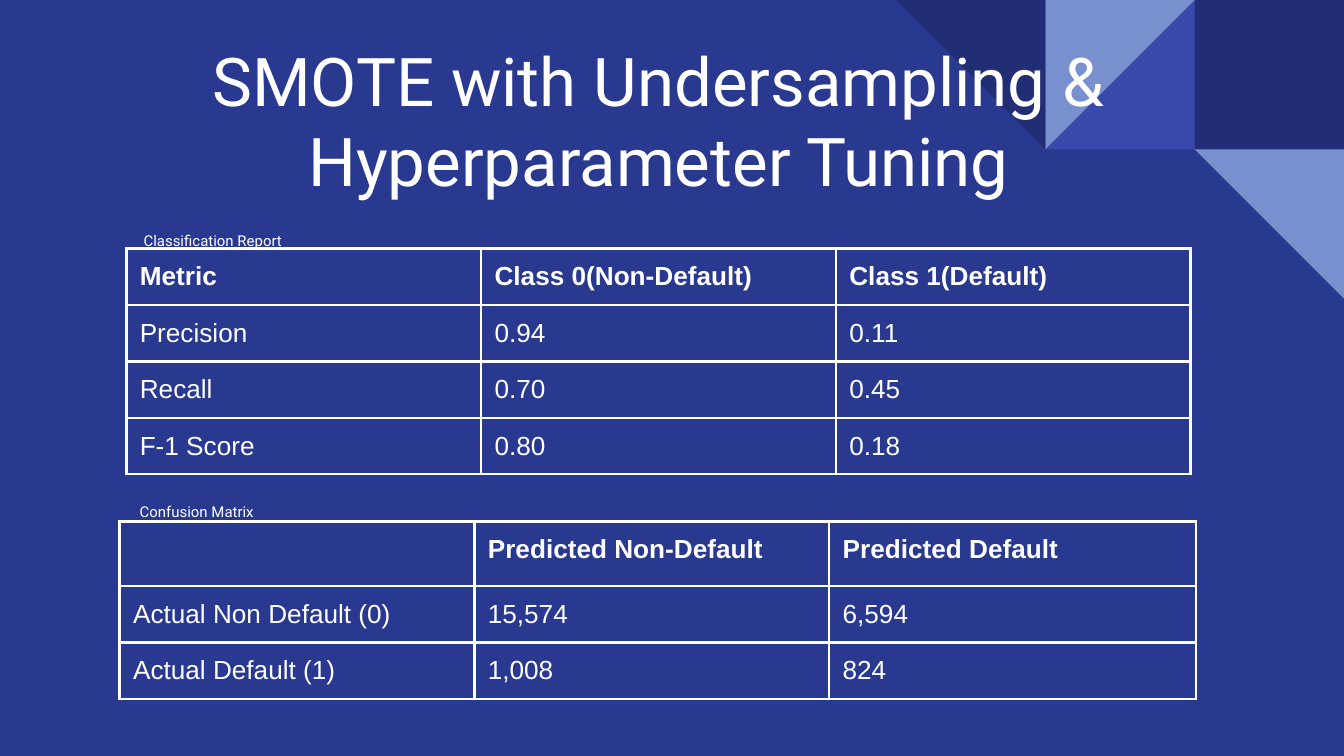
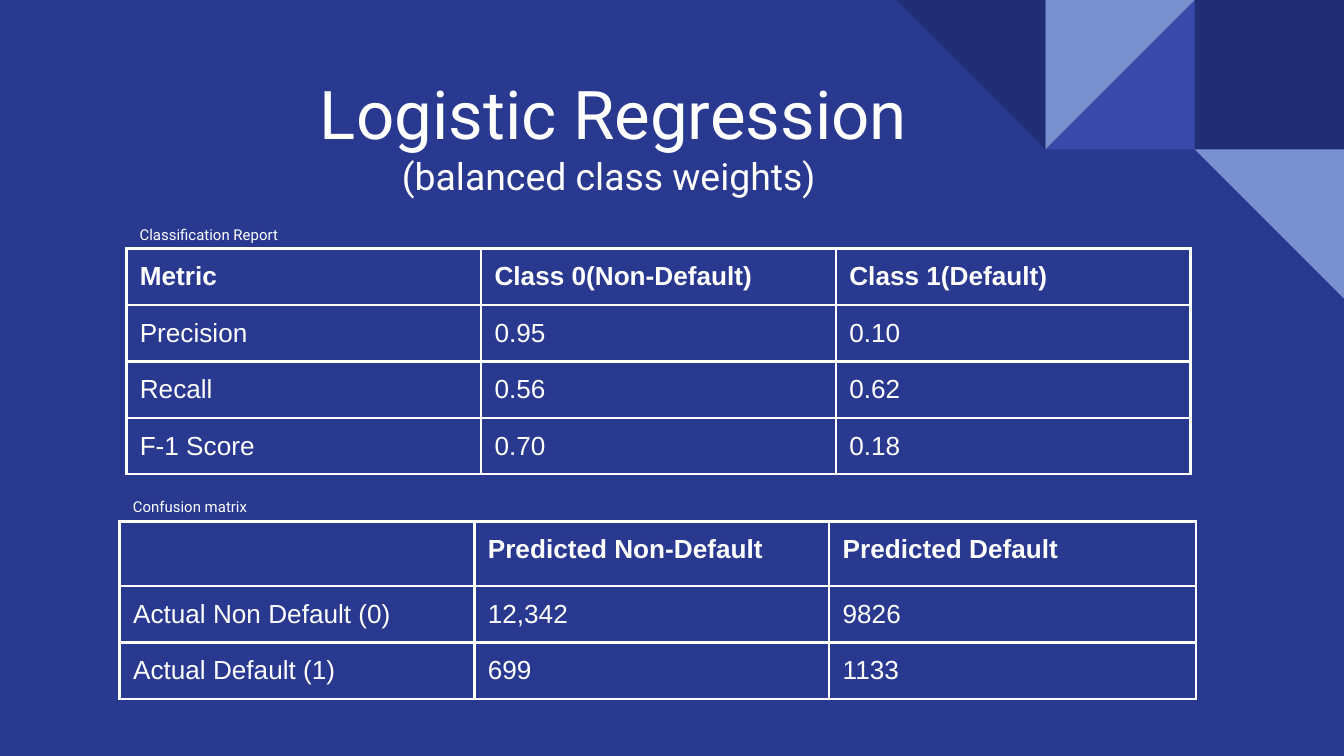
from dataclasses import dataclass

from lxml import etree
from pptx import Presentation
from pptx.dml.color import RGBColor
from pptx.enum.shapes import MSO_SHAPE
from pptx.enum.text import MSO_ANCHOR, MSO_AUTO_SIZE, PP_ALIGN
from pptx.oxml.ns import qn
from pptx.util import Inches, Pt

SQUARE, TRIANGLE = MSO_SHAPE.RECTANGLE, MSO_SHAPE.RIGHT_TRIANGLE
TOP, NO_AUTOFIT = MSO_ANCHOR.TOP, MSO_AUTO_SIZE.NONE
LEFT, CENTER = PP_ALIGN.LEFT, PP_ALIGN.CENTER
TITLE_ONLY = 5
SLIDE_WIDTH = 10
SLIDE_HEIGHT = SLIDE_WIDTH * 9 / 16
INSET = Inches(0.1)
TILE = SLIDE_WIDTH / 9
ROW = 0.42


@dataclass(frozen=True)
class Theme:
    background: str = "2A3990"
    dark: str = "212D74"
    vivid: str = "3949AB"
    pale: str = "7890CD"
    white: str = "FFFFFF"
    display_font: str = "Roboto"
    table_font: str = "Arial"
    title_size: float = 36
    subtitle_size: float = 20
    table_size: float = 14
    caption_size: float = 8
    border_width: float = 1.5


THEME = Theme()


@dataclass(frozen=True)
class Box:
    left: float
    top: float
    width: float
    height: float

    def lengths(self) -> list:
        return [Inches(n) for n in (self.left, self.top, self.width, self.height)]


@dataclass(frozen=True)
class Tile:
    column: int
    row: int
    preset: int
    rotation: int
    color: str


@dataclass(frozen=True)
class Grid:
    left: float
    top: float
    columns: tuple
    rows: tuple
    header: tuple


@dataclass(frozen=True)
class Result:
    title: str
    subtitle: str
    title_box: Box
    report_caption: str
    report_caption_box: Box
    report: tuple
    matrix_caption: str
    matrix_caption_box: Box
    matrix: tuple


TILES = (
    Tile(8, 0, SQUARE, 0, THEME.dark),
    Tile(7, 0, TRIANGLE, 270, THEME.vivid),
    Tile(7, 0, TRIANGLE, 90, THEME.pale),
    Tile(6, 0, TRIANGLE, 180, THEME.dark),
    Tile(8, 1, TRIANGLE, 180, THEME.pale),
)
REPORT = Grid(0.94, 1.85, (2.64, 2.64, 2.64), (ROW,) * 4,
              ("Metric", "Class 0(Non-Default)", "Class 1(Default)"))
MATRIX = Grid(0.89, 3.88, (2.64, 2.64, 2.73), (0.48, ROW, ROW),
              ("", "Predicted Non-Default", "Predicted Default"))

RESULTS = (
    Result(
        "SMOTE with Undersampling & Hyperparameter Tuning", "",
        Box(0.52, 0.19, 8.76, 1.28),
        "Classification Report", Box(0.97, 1.62, 1.66, 0.23),
        (("Precision", "0.94", "0.11"),
         ("Recall", "0.70", "0.45"),
         ("F-1 Score", "0.80", "0.18")),
        "Confusion Matrix", Box(0.94, 3.64, 1.61, 0.35),
        (("Actual Non Default (0)", "15,574", "6,594"),
         ("Actual Default (1)", "1,008", "824")),
    ),
    Result(
        "Logistic Regression", "(balanced class weights) ",
        Box(1.12, 0.44, 6.89, 0.73),
        "Classification Report", Box(0.94, 1.58, 1.75, 0.28),
        (("Precision", "0.95", "0.10"),
         ("Recall", "0.56", "0.62"),
         ("F-1 Score", "0.70", "0.18")),
        "Confusion matrix", Box(0.89, 3.6, 1.62, 0.28),
        (("Actual Non Default (0)", "12,342", "9826"),
         ("Actual Default (1)", "699", "1133")),
    ),
)


def write(paragraph, text: str, *, size: float, font: str = THEME.display_font,
          bold: bool = False, align=LEFT) -> None:
    paragraph.alignment = align
    run = paragraph.add_run()
    run.text = text
    run.font.name = font
    run.font.size = Pt(size)
    run.font.bold = bold
    run.font.color.rgb = RGBColor.from_string(THEME.white)


def inset(area) -> None:
    area.margin_left = area.margin_right = INSET
    area.margin_top = area.margin_bottom = INSET
    area.vertical_anchor = TOP


def prepare_frame(shape):
    frame = shape.text_frame
    frame.word_wrap = True
    frame.auto_size = NO_AUTOFIT
    inset(frame)
    return frame


def add_title(slide, result: Result) -> None:
    title = slide.shapes.title
    title.left, title.top, title.width, title.height = result.title_box.lengths()
    frame = prepare_frame(title)
    write(frame.paragraphs[0], result.title, size=THEME.title_size, align=CENTER)
    if result.subtitle:
        write(frame.add_paragraph(), result.subtitle, size=THEME.subtitle_size, align=CENTER)


def add_caption(slide, text: str, box: Box) -> None:
    frame = prepare_frame(slide.shapes.add_textbox(*box.lengths()))
    write(frame.paragraphs[0], text, size=THEME.caption_size)


def add_borders(cell) -> None:
    properties = cell._tc.get_or_add_tcPr()
    for position, side in enumerate(("a:lnL", "a:lnR", "a:lnT", "a:lnB")):
        line = etree.Element(qn(side), w=str(Pt(THEME.border_width)))
        fill = etree.SubElement(line, qn("a:solidFill"))
        etree.SubElement(fill, qn("a:srgbClr"), val=THEME.white)
        properties.insert(position, line)


def add_grid(slide, grid: Grid, body: tuple) -> None:
    box = Box(grid.left, grid.top, sum(grid.columns), sum(grid.rows))
    table = slide.shapes.add_table(
        len(grid.rows), len(grid.columns), *box.lengths()).table
    table.first_row = table.horz_banding = False
    for column, width in zip(table.columns, grid.columns):
        column.width = Inches(width)
    for row, height in zip(table.rows, grid.rows):
        row.height = Inches(height)
    for r, values in enumerate((grid.header, *body)):
        for c, value in enumerate(values):
            cell = table.cell(r, c)
            inset(cell)
            cell.fill.background()
            add_borders(cell)
            write(cell.text_frame.paragraphs[0], value, size=THEME.table_size,
                  font=THEME.table_font, bold=r == 0)


def move_tiles_to_layout(slide, layout) -> None:
    for placeholder in list(layout.placeholders):
        if placeholder.placeholder_format.idx:
            placeholder.element.getparent().remove(placeholder.element)
    for tile in TILES:
        box = Box(tile.column * TILE, tile.row * TILE, TILE, TILE)
        shape = slide.shapes.add_shape(tile.preset, *box.lengths())
        shape.rotation = tile.rotation
        shape.shadow.inherit = False
        shape.fill.solid()
        shape.fill.fore_color.rgb = RGBColor.from_string(tile.color)
        shape.line.fill.background()
        layout.shapes.element.append(shape.element)


def add_result(slide, result: Result) -> None:
    add_title(slide, result)
    add_grid(slide, REPORT, result.report)
    add_grid(slide, MATRIX, result.matrix)
    add_caption(slide, result.report_caption, result.report_caption_box)
    add_caption(slide, result.matrix_caption, result.matrix_caption_box)


def main() -> None:
    deck = Presentation()
    deck.slide_width = Inches(SLIDE_WIDTH)
    deck.slide_height = Inches(SLIDE_HEIGHT)
    backdrop = deck.slide_master.background.fill
    backdrop.solid()
    backdrop.fore_color.rgb = RGBColor.from_string(THEME.background)
    layout = deck.slide_layouts[TITLE_ONLY]
    slides = [deck.slides.add_slide(layout) for _ in RESULTS]
    move_tiles_to_layout(slides[0], layout)
    for slide, result in zip(slides, RESULTS):
        add_result(slide, result)
    deck.save("out.pptx")


if __name__ == "__main__":
    main()
